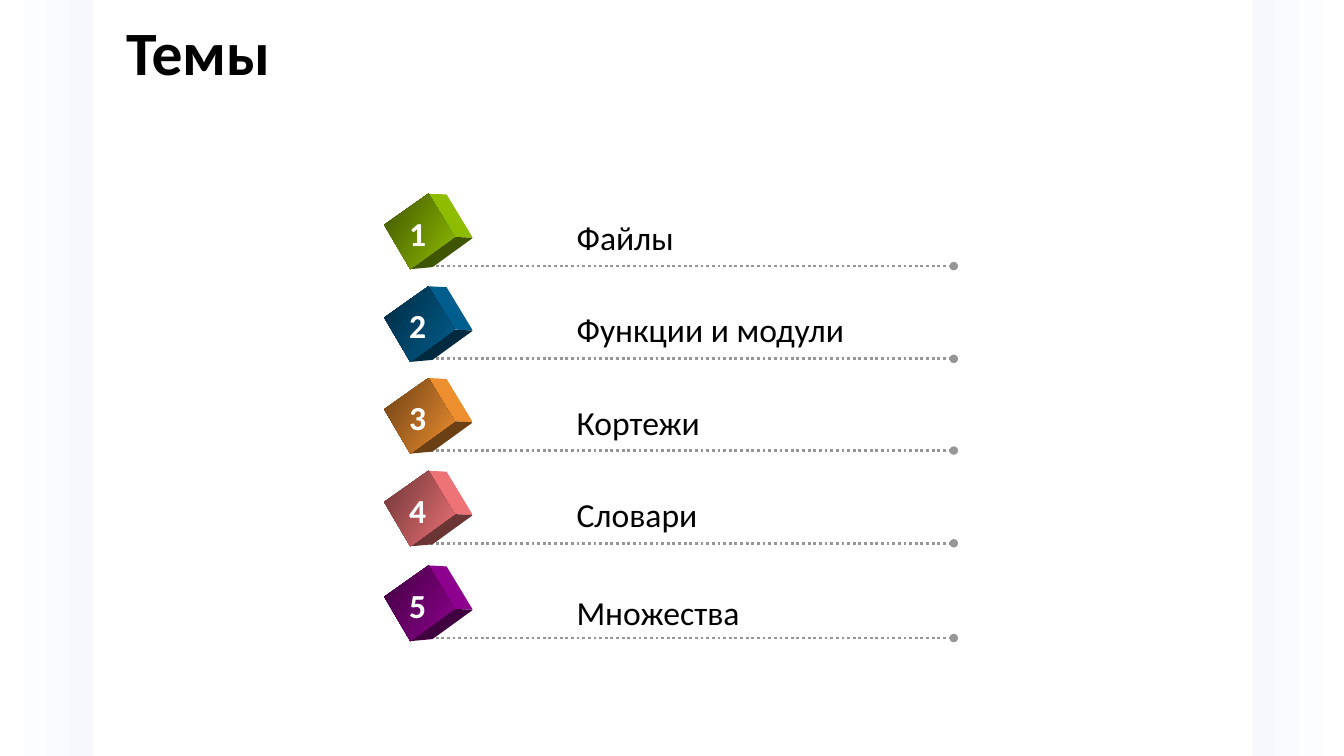
from lxml import etree
from pptx import Presentation
from pptx.dml.color import RGBColor
from pptx.enum import dml, shapes, text
from pptx.oxml import ns
from pptx.util import Inches, Pt

HUES = {"ink": "000000", "white": "FFFFFF", "line": "969696", "edge": "F6F8FC"}
ROWS = [
    ("Файлы", 2.64, 2.10, 1.18, "99CC00"),
    ("Функции и модули", 3.56, 3.02, 2.88, "006699"),
    ("Кортежи", 4.47, 3.94, 1.44, "FF9933"),
    ("Словари", 5.39, 4.85, 1.41, "FF7C80"),
    ("Множества", 6.33, 5.82, 1.83, "990099"),
]
FRONT = [(3.81, -0.41), (4.25, -0.72), (4.51, -0.29), (4.07, 0.03)]
SIDE = [(4.25, -0.72), (4.43, -0.71), (4.69, -0.28), (4.51, -0.29)]
BASE = [(4.07, 0.03), (4.51, -0.29), (4.69, -0.28), (4.29, 0.01)]


def paint(shape, first, last, angle):
    shape.shadow.inherit = False
    shape.line.fill.background()
    shape.fill.gradient()
    shape.fill.gradient_angle = angle
    for stop, color in zip(shape.fill.gradient_stops, (first, last)):
        stop.color.rgb = color


def write(frame, words, size, color, bold=False):
    run = frame.paragraphs[0].add_run()
    run.text = words
    run.font.name = "Calibri"
    run.font.size = Pt(size)
    run.font.bold = bold
    run.font.color.rgb = RGBColor.from_string(HUES[color])


deck = Presentation()
deck.slide_width, deck.slide_height = Inches(13.33), Inches(7.5)
slide = deck.slides.add_slide(deck.slide_layouts[5])
parts = slide.shapes

for left, turn in ((0, 0), (12.42, 180)):
    panel = parts.add_shape(shapes.MSO_SHAPE.RECTANGLE, Inches(left), 0, Inches(0.92), Inches(7.5))
    panel.rotation = turn
    paint(panel, RGBColor.from_string(HUES["edge"]), RGBColor.from_string(HUES["white"]), 180)

title = parts.title
title.left, title.top = Inches(1.15), Inches(0.13)
title.width, title.height = Inches(11.26), Inches(0.84)
title.text_frame.vertical_anchor = text.MSO_ANCHOR.MIDDLE
write(title.text_frame, "Темы", 44, "ink", True)
title.text_frame.paragraphs[0].alignment = text.PP_ALIGN.LEFT
title.text_frame.paragraphs[0].line_spacing = 0.9

for number, (topic, level, top, width, hue) in enumerate(ROWS, 1):
    rule = parts.add_connector(
        shapes.MSO_CONNECTOR.STRAIGHT, Inches(4.21), Inches(level), Inches(9.46), Inches(level))
    rule.line.color.rgb = RGBColor.from_string(HUES["line"])
    rule.line.width = Pt(2)
    rule.line.dash_style = dml.MSO_LINE.ROUND_DOT
    etree.SubElement(rule.line._get_or_add_ln(), ns.qn("a:tailEnd"), type="oval")
    etree.SubElement(rule._element.spPr, ns.qn("a:effectLst"))

    full = RGBColor.from_string(hue)
    light, dark = [RGBColor(*(int(part * tone) for part in full)) for tone in (0.93, 0.42)]
    for face, first, last in ((SIDE, light, light), (BASE, dark, dark), (FRONT, dark, light)):
        points = [(Inches(x), Inches(level + y)) for x, y in face]
        outline = parts.build_freeform(*points[0])
        outline.add_line_segments(points[1:], close=True)
        paint(outline.convert_to_shape(), first, last, 330)

    for words, left, high, wide, color, bold in (
        (topic, 5.62, top, width, "ink", False),
        (str(number), 3.96, level - 0.58, 0.39, "white", True),
    ):
        box = parts.add_textbox(Inches(left), Inches(high), Inches(wide), Inches(0.5))
        box.text_frame.word_wrap = False
        box.text_frame.auto_size = text.MSO_AUTO_SIZE.SHAPE_TO_FIT_TEXT
        write(box.text_frame, words, 24, color, bold)

deck.save("out.pptx")
